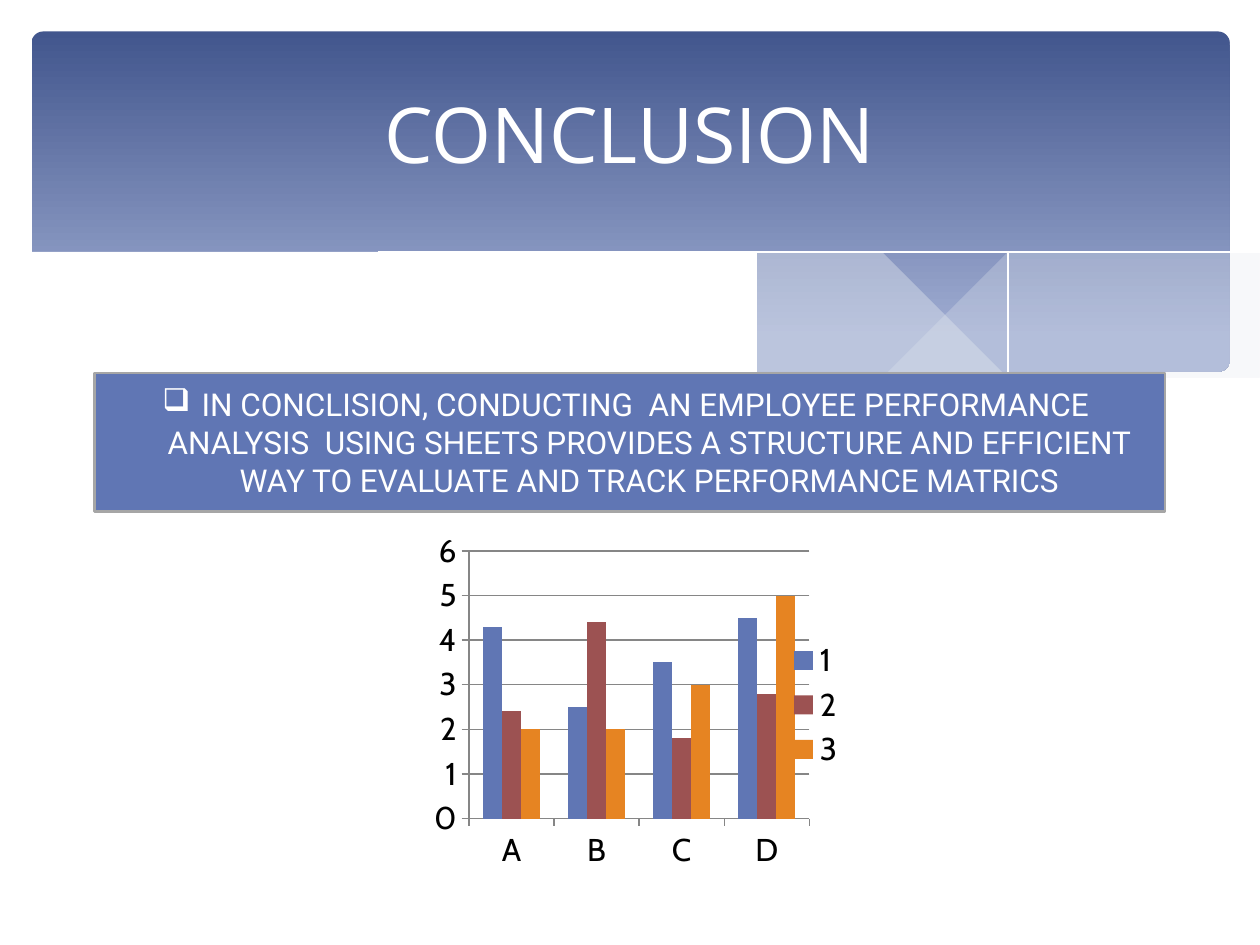
from lxml.etree import SubElement as Sub
from pptx import Presentation
from pptx.chart.data import CategoryChartData as ChartData
from pptx.dml.color import RGBColor
from pptx.enum.chart import XL_CHART_TYPE as Kind, XL_LEGEND_POSITION as Side, XL_TICK_MARK as Tick
from pptx.enum.shapes import MSO_SHAPE as Shape
from pptx.enum.text import MSO_ANCHOR as Anchor, PP_ALIGN as Align
from pptx.oxml.ns import qn
from pptx.util import Inches, Pt


def rgb(code):
    return RGBColor.from_string(code)


def curve(knots, steps=6):
    """Smooth curve through the knots (Catmull-Rom)."""
    pts = [knots[0], *knots, knots[-1]]
    out = [knots[0]]
    for a, b, c, d in zip(pts, pts[1:], pts[2:], pts[3:]):
        for i in range(1, steps + 1):
            t = i / steps
            out.append(tuple(
                q + t / 2 * (r - p + t * (2 * p - 5 * q + 4 * r - s
                                          + t * (3 * (q - r) + s - p)))
                for p, q, r, s in zip(a, b, c, d)))
    return out


class Deck:
    white, blue, grey = "FFFFFF", "6076B4", "868686"

    def __init__(self):
        self.prs = Presentation()
        self.prs.slide_width, self.prs.slide_height = Inches(10), Inches(7.5)
        self.slide = self.prs.slides.add_slide(self.prs.slide_layouts[6])
        self.shapes = self.slide.shapes

    def box(self, kind, *at):
        shape = self.shapes.add_shape(kind, *map(Inches, at))
        shape.shadow.inherit = False
        shape.line.fill.background()
        return shape

    def banner(self, *at):
        shape = self.box(Shape.ROUNDED_RECTANGLE, *at)
        shape.adjustments[0] = 0.034
        shape.fill.gradient()
        shape.fill.gradient_angle = 270
        for stop, pos, code in zip(shape.fill.gradient_stops, (0, 0.9), ("42568D", "A0ADD2")):
            stop.position = pos
            stop.color.rgb = rgb(code)

    def wave(self, pts, fill=None, alpha=100):
        """A filled area, or an open hairline when no fill is given."""
        pen = self.shapes.build_freeform(*pts[0], scale=Inches(1))
        pen.add_line_segments(pts[1:], close=bool(fill))
        shape = pen.convert_to_shape()
        shape.shadow.inherit = False
        if not fill:
            shape.fill.background()
            shape.line.color.rgb = rgb(self.white)
            shape.line.width = Pt(0)
            return
        shape.line.fill.background()
        shape.fill.solid()
        shape.fill.fore_color.rgb = rgb(fill)
        if alpha < 100:
            tint = shape.element.spPr.find(".//" + qn("a:srgbClr"))
            Sub(tint, qn("a:alpha"), val=str(alpha * 1000))

    def label(self, shape, words, size, font):
        frame = shape.text_frame
        frame.word_wrap = True
        frame.vertical_anchor = Anchor.MIDDLE
        frame.text = words
        para = frame.paragraphs[0]
        para.alignment = Align.CENTER
        face = para.runs[0].font
        face.size, face.name, face.color.rgb = Pt(size), font, rgb(self.white)
        return para

    def title(self, words, *at):
        self.label(self.shapes.add_textbox(*map(Inches, at)), words, 44, "Open Sans")

    def panel(self, words, *at):
        shape = self.box(Shape.RECTANGLE, *at)
        shape.fill.solid()
        shape.fill.fore_color.rgb = rgb(self.blue)
        shape.line.color.rgb = rgb("A6A6A6")
        shape.line.width = Pt(1.25)
        props = self.label(shape, words, 18, "Roboto")._p.get_or_add_pPr()
        props.set("marL", str(Inches(0.31)))
        props.set("indent", str(Inches(-0.31)))
        Sub(props, qn("a:buChar"), char="❑")

    def columns(self, cats, series, plot, *at):
        data = ChartData()
        data.categories = cats
        for name, _, vals in series:
            data.add_series(name, vals)
        chart = self.shapes.add_chart(Kind.COLUMN_CLUSTERED, *map(Inches, at), data).chart
        chart.has_title = False
        chart.font.size, chart.font.name = Pt(18), "Cabin"
        chart.font.color.rgb = rgb("000000")
        chart.has_legend = True
        chart.legend.position = Side.RIGHT
        chart.legend.include_in_layout = False
        bars = chart.plots[0]
        bars.gap_width, bars.overlap, bars.vary_by_categories = 150, 0, False
        for bar, (_, code, _) in zip(bars.series, series):
            bar.format.fill.solid()
            bar.format.fill.fore_color.rgb = rgb(code)
        rule = chart.value_axis
        rule.minimum_scale, rule.maximum_scale, rule.major_unit = 0, 6, 1
        rule.has_major_gridlines = True
        for axis in (rule, chart.category_axis):
            axis.major_tick_mark, axis.minor_tick_mark = Tick.OUTSIDE, Tick.NONE
        for part in (rule, rule.major_gridlines, chart.category_axis):
            part.format.line.color.rgb = rgb(self.grey)
            part.format.line.width = Pt(0.75)
        # Fixed inner plot area
        area = chart.element.find(".//" + qn("c:plotArea"))
        for old in area.findall(qn("c:layout")):
            area.remove(old)
        layout = Sub(area, qn("c:layout"))
        area.insert(0, layout)
        manual = Sub(layout, qn("c:manualLayout"))
        marks = [("layoutTarget", "inner"), ("xMode", "edge"), ("yMode", "edge"),
                 *zip("xywh", plot)]
        for tag, val in marks:
            Sub(manual, qn("c:" + tag), val=str(val))


def main():
    deck = Deck()

    # Banner with waves along its lower edge
    deck.banner(0.25, 0.25, 9.51, 2.7)
    mist = "E4E9EF"
    deck.wave(curve([(9.76, 2), (9.06, 2.13), (8.32, 2.3), (7.53, 2.48), (6.61, 2.65)])
              + curve([(6.61, 2.65), (7.32, 2.74), (8.03, 2.78), (8.72, 2.74),
                       (9.28, 2.63), (9.76, 2.47)]), mist, 29)
    deck.wave(curve([(8.93, 2.73), (8.07, 2.6), (7.06, 2.4), (6.29, 2.22), (5.41, 2.03),
                     (4.65, 1.91), (3.8, 1.85), (2.86, 1.91)])
              + curve([(2.86, 1.91), (3.62, 2.03), (4.49, 2.22), (5.3, 2.4), (6.01, 2.55),
                       (6.8, 2.68), (7.48, 2.76), (8.18, 2.78), (8.93, 2.73)]), mist, 40)
    deck.wave(curve([(3.09, 1.95), (3.63, 1.89), (4.33, 1.87), (5.1, 1.92), (6.08, 2.04),
                     (6.95, 2.19), (7.95, 2.41), (9.07, 2.72)]))
    deck.wave(curve([(6.13, 2.57), (6.95, 2.35), (7.76, 2.16), (8.66, 1.99),
                     (9.24, 1.9), (9.75, 1.85)]))
    deck.wave(curve([(9.77, 2.46), (9.3, 2.62), (8.75, 2.73), (8.09, 2.77), (7.44, 2.74),
                     (6.68, 2.65), (6.03, 2.54), (5.29, 2.39), (4.47, 2.2), (3.65, 2.02),
                     (2.92, 1.9), (2.3, 1.85), (1.77, 1.84), (1.19, 1.87), (0.67, 1.97),
                     (0.23, 2.13)]) + [(0.23, 3.29), (9.77, 3.29)], deck.white)

    # Score chart
    series = [("1", deck.blue, (4.3, 2.5, 3.5, 4.5)),
              ("2", "9C5252", (2.4, 4.4, 1.8, 2.8)),
              ("3", "E68422", (2, 2, 3, 5))]
    deck.columns("ABCD", series, (0.2, 0.08, 0.7, 0.73), 2.95, 4.14, 3.86, 2.91)

    # Title and closing statement
    deck.title("CONCLUSION", 0.5, 0.37, 9, 1.37)
    deck.panel("IN CONCLISION, CONDUCTING  AN EMPLOYEE PERFORMANCE  ANALYSIS  USING SHEETS "
               "PROVIDES A STRUCTURE AND EFFICIENT WAY TO EVALUATE AND TRACK PERFORMANCE "
               "MATRICS", 0.75, 2.96, 8.5, 1.1)

    deck.prs.save("out.pptx")


if __name__ == "__main__":
    main()
